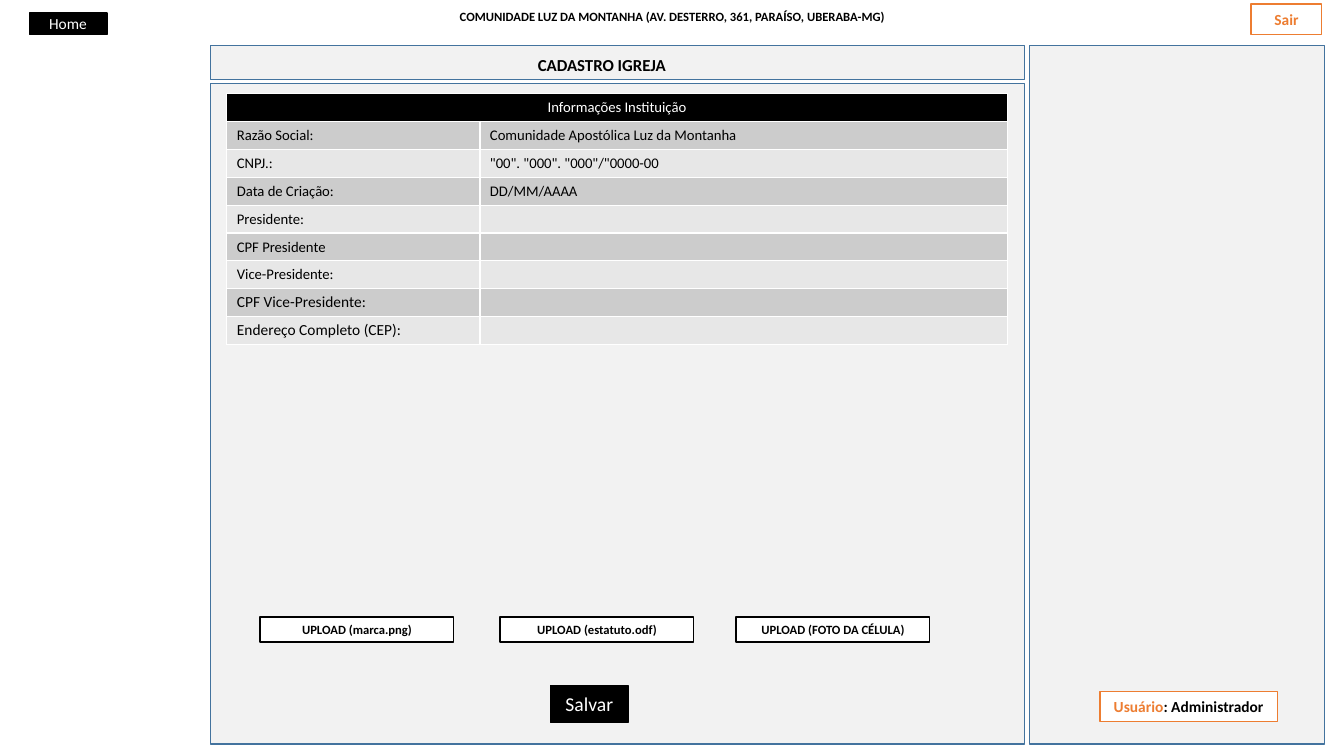
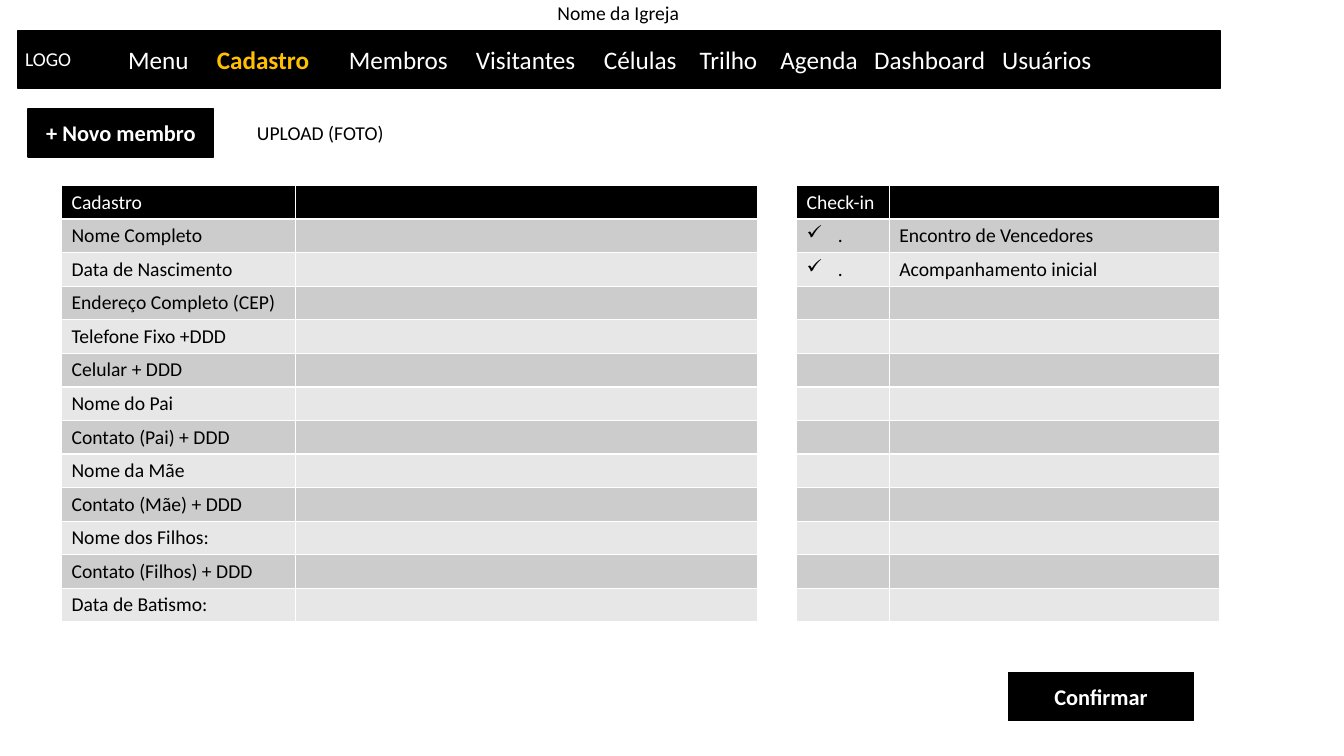
from lxml.etree import SubElement
from pptx import Presentation
from pptx.dml.color import RGBColor
from pptx.enum.shapes import MSO_SHAPE as Preset
from pptx.enum.text import MSO_ANCHOR as Anchor, PP_ALIGN as Align
from pptx.oxml.ns import qn
from pptx.util import Inches, Pt

FONT = "Calibri"
COLORS = {
    "black": "000000", "white": "FFFFFF", "panel": "F2F2F2", "outline": "43739E",
    "orange": "ED7D31", "gold": "FFC000", "odd": "CCCCCC", "even": "E7E7E7",
}
INSTITUTION_ROWS = [
    ("Informações Instituição", ""),
    ("Razão Social:", "Comunidade Apostólica Luz da Montanha"),
    ("CNPJ.:", '"00". "000". "000"/"0000-00'),
    ("Data de Criação:", "DD/MM/AAAA"),
    ("Presidente:", ""),
    ("CPF Presidente", ""),
    ("Vice-Presidente:", ""),
    ("CPF Vice-Presidente:", ""),
    ("Endereço Completo (CEP):", ""),
]
MEMBER_FIELDS = [
    "Cadastro", "Nome Completo", "Data de Nascimento", "Endereço Completo (CEP)",
    "Telefone Fixo +DDD", "Celular + DDD", "Nome do Pai", "Contato (Pai) + DDD",
    "Nome da Mãe", "Contato (Mãe) + DDD", "Nome dos Filhos:",
    "Contato (Filhos) + DDD", "Data de Batismo:",
]
CHECK_INS = ["Encontro de Vencedores", "Acompanhamento inicial"]
MENU = ["Menu", "Cadastro", "Membros", "Visitantes", "Células", "Trilho",
        "Agenda", "Dashboard", "Usuários"]
MENU_TABS = [0.88, 2.19, 3.45, 4.72, 5.67, 6.47, 7.4, 8.67]


def rgb(name):
    """Return the named palette colour."""
    return RGBColor.from_string(COLORS[name])


def write(paragraph, runs, size, align=Align.LEFT):
    """Write (text, colour, bold) runs into a paragraph."""
    paragraph.alignment = align
    for text, color, bold in runs:
        run = paragraph.add_run()
        run.text = text
        run.font.name, run.font.size, run.font.bold = FONT, Pt(size), bold
        run.font.color.rgb = rgb(color)


def add_box(slide, box, fill, line, runs=(), size=11):
    """Add an outlined rectangle with centred text."""
    shape = slide.shapes.add_shape(Preset.RECTANGLE, *map(Inches, box))
    shape.shadow.inherit = False
    shape.fill.solid()
    shape.fill.fore_color.rgb = rgb(fill)
    shape.line.color.rgb = rgb(line)
    shape.line.width = Pt(1)
    shape.text_frame.vertical_anchor = Anchor.MIDDLE
    write(shape.text_frame.paragraphs[0], runs, size, Align.CENTER)
    return shape


def add_button(slide, box, text, size, bold=False):
    """Add a black button with a white caption."""
    return add_box(slide, box, "black", "black", [(text, "white", bold)], size)


def add_label(slide, box, text, size, color="black", bold=False, align=Align.LEFT):
    """Add a plain line of text."""
    label = slide.shapes.add_textbox(*map(Inches, box))
    label.text_frame.word_wrap = True
    write(label.text_frame.paragraphs[0], [(text, color, bold)], size, align)


def add_borders(cell):
    """Draw thin white lines round a cell."""
    properties = cell._tc.get_or_add_tcPr()
    for position, side in enumerate(("lnL", "lnR", "lnT", "lnB")):
        line = SubElement(properties, qn(f"a:{side}"), w=str(Pt(1)))
        fill = SubElement(line, qn("a:solidFill"))
        SubElement(fill, qn("a:srgbClr"), val=COLORS["white"])
        properties.insert(position, line)


def add_form(slide, box, columns, rows, sizes):
    """Add a banded form table with a black heading row."""
    left, top, width, height = map(Inches, box)
    form = slide.shapes.add_table(len(rows), len(columns), left, top, width, height).table
    form.first_row = form.horz_banding = False
    for column, column_width in zip(form.columns, columns):
        column.width = Inches(column_width)
    for index, (row, values, size) in enumerate(zip(form.rows, rows, sizes)):
        row.height = height // len(rows)
        fill = "black" if index == 0 else "odd" if index % 2 else "even"
        for cell, value in zip(row.cells, values):
            cell.fill.solid()
            cell.fill.fore_color.rgb = rgb(fill)
            cell.margin_top = cell.margin_bottom = Inches(0.04)
            cell.vertical_anchor = Anchor.MIDDLE
            add_borders(cell)
            paragraph = cell.text_frame.paragraphs[0]
            if value:
                write(paragraph, [(value, "black" if index else "white", False)], size)
            else:
                SubElement(paragraph._p, qn("a:endParaRPr"), sz=str(int(size * 100)))
    return form


def add_check(cell):
    """Put a check-mark bullet before the text of a cell."""
    properties = cell.text_frame.paragraphs[0]._p.get_or_add_pPr()
    indent = Inches(0.31)
    properties.set("marL", str(indent))
    properties.set("indent", str(-indent))
    SubElement(properties, qn("a:buChar"), char="✓")


def add_menu_bar(slide, box):
    """Add the navigation bar with its entries on tab stops."""
    left, top, width, height = box
    bar = add_box(slide, box, "black", "black")
    bar.text_frame.margin_left = Inches(1.09)
    paragraph = bar.text_frame.paragraphs[0]
    entries = []
    for index, entry in enumerate(MENU):
        active = entry == "Cadastro"
        text = f"\t{entry}" if index else entry
        entries.append((text, "gold" if active else "white", active))
    write(paragraph, entries, 18)
    stops = SubElement(paragraph._p.get_or_add_pPr(), qn("a:tabLst"))
    for stop in MENU_TABS:
        SubElement(stops, qn("a:tab"), pos=str(Inches(stop)), algn="l")
    add_label(slide, (left - 0.03, top + 0.12, 0.86, 0.34), "LOGO", 14, "white")
    add_label(slide, (left + 5.25, top - 0.34, 4.94, 0.34), "Nome da Igreja", 14)


def add_church_panel(slide, box):
    """Add the institution form with its uploads and save button."""
    left, top, width, height = box
    add_box(slide, (left, top, width, 0.34), "panel", "outline")
    add_box(slide, (left, top + 0.38, width, height - 0.38), "panel", "outline")
    add_label(slide, (left + 2.96, top + 0.04, 1.84, 0.3), "CADASTRO IGREJA", 12,
              bold=True, align=Align.CENTER)
    sizes = [10.5] * 7 + [11] * 2
    form = add_form(slide, (left + 0.16, top + 0.48, 7.74, 2.49), (2.51, 5.23),
                    INSTITUTION_ROWS, sizes)
    heading = form.cell(0, 0)
    heading.merge(form.cell(0, 1))
    heading.text_frame.paragraphs[0].alignment = Align.CENTER
    uploads = {"marca.png": 0.49, "estatuto.odf": 2.87, "FOTO DA CÉLULA": 5.21}
    for upload, offset in uploads.items():
        add_box(slide, (left + offset, top + 5.67, 1.92, 0.25), "white", "black",
                [(f"UPLOAD ({upload})", "black", True)], 9)
    add_button(slide, (left + 3.37, top + 6.35, 0.77, 0.37), "Salvar", 14)


def add_user_panel(slide, box):
    """Add the side panel with the signed-in user."""
    left, top, width, height = box
    add_box(slide, box, "panel", "outline")
    add_box(slide, (left + 0.7, top + height - 0.52, 1.76, 0.3), "white", "orange",
            [("Usuário", "orange", True), (": Administrador", "black", True)])


def build_church_slide(slide):
    """Build the church registration screen."""
    add_label(slide, (0, 0.04, 13.33, 0.25),
              "COMUNIDADE LUZ DA MONTANHA (AV. DESTERRO, 361, PARAÍSO, UBERABA-MG)",
              9, bold=True, align=Align.CENTER)
    add_button(slide, (0.29, 0.13, 0.77, 0.21), "Home", 11)
    add_box(slide, (12.41, 0.04, 0.7, 0.3), "white", "orange", [("Sair", "orange", True)])
    add_church_panel(slide, (2.09, 0.45, 8.07, 6.93))
    add_user_panel(slide, (10.21, 0.45, 2.93, 6.93))


def build_member_slide(slide):
    """Build the new member screen."""
    add_menu_bar(slide, (0.18, 0.3, 11.92, 0.58))
    add_button(slide, (0.28, 1.08, 1.84, 0.48), "+ Novo membro", 16, True)
    add_label(slide, (2.45, 1.15, 1.65, 0.34), "UPLOAD (FOTO)", 14)
    sizes = [14] * len(MEMBER_FIELDS)
    add_form(slide, (0.61, 1.84, 6.9, 4.33), (2.32, 4.58),
             [(field, "") for field in MEMBER_FIELDS], sizes)
    check_rows = [("Check-in", "")] + [(".", step) for step in CHECK_INS]
    check_rows += [("", "")] * (len(MEMBER_FIELDS) - len(check_rows))
    check_form = add_form(slide, (7.9, 1.84, 4.2, 4.33), (0.92, 3.28), check_rows, sizes)
    for index in range(len(CHECK_INS)):
        add_check(check_form.cell(index + 1, 0))
    add_button(slide, (10, 6.67, 1.84, 0.48), "Confirmar", 16, True)


def main():
    """Build and save the presentation."""
    deck = Presentation()
    deck.slide_width, deck.slide_height = Inches(13.33), Inches(7.5)
    for build in (build_church_slide, build_member_slide):
        build(deck.slides.add_slide(deck.slide_layouts[6]))
    deck.save("out.pptx")


if __name__ == "__main__":
    main()
